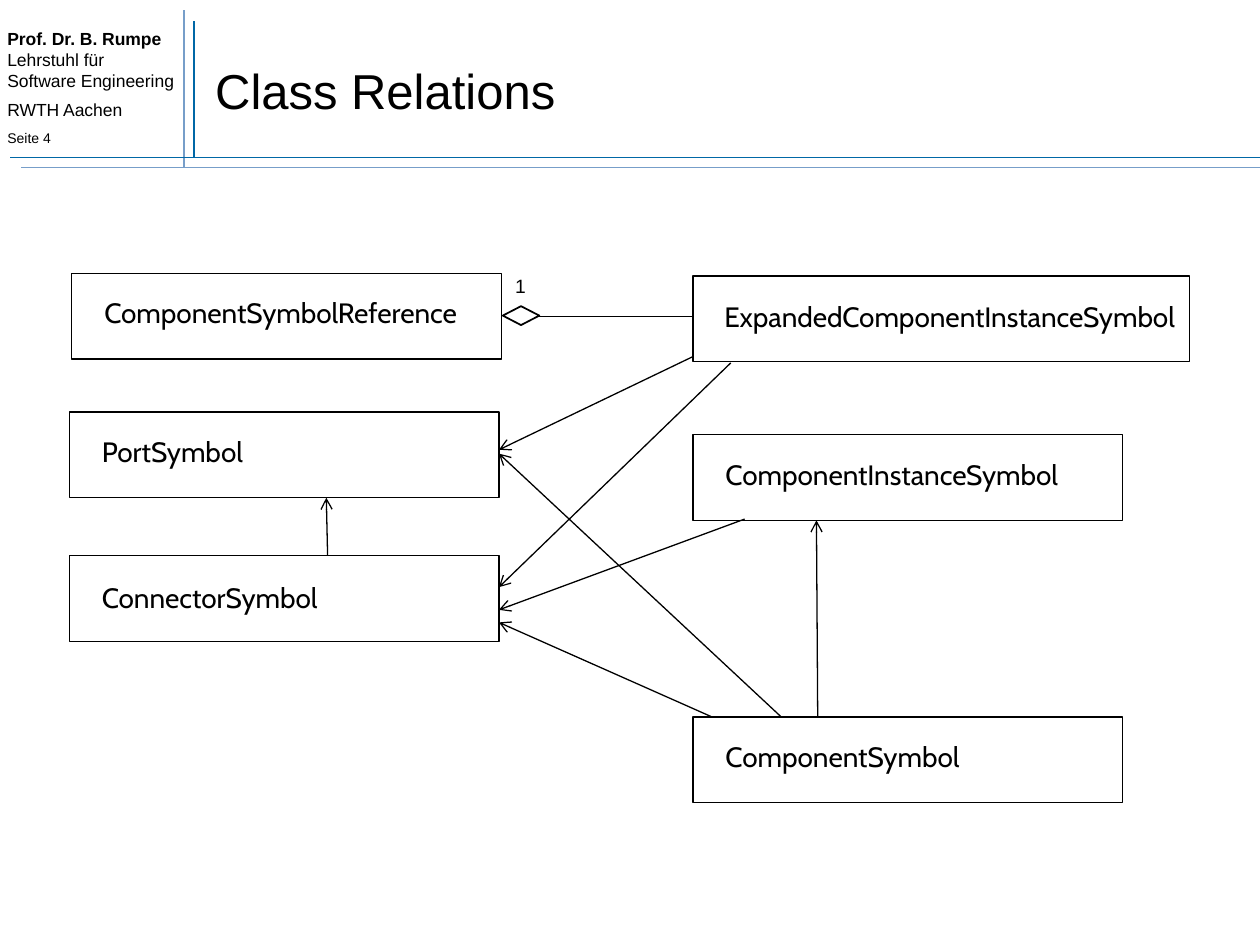
from dataclasses import dataclass

from lxml import etree
from pptx import Presentation
from pptx.dml.color import RGBColor
from pptx.enum.shapes import MSO_CONNECTOR, MSO_SHAPE
from pptx.enum.text import MSO_ANCHOR
from pptx.oxml.ns import qn
from pptx.util import Inches, Pt

LINE = MSO_CONNECTOR.STRAIGHT
RECT = MSO_SHAPE.RECTANGLE
DIAMOND = MSO_SHAPE.DIAMOND
MIDDLE = MSO_ANCHOR.MIDDLE


@dataclass(frozen=True)
class Theme:
    black: RGBColor = RGBColor(0, 0, 0)
    white: RGBColor = RGBColor(255, 255, 255)
    dark: RGBColor = RGBColor(0x00, 0x67, 0xA6)
    light: RGBColor = RGBColor(0x77, 0x9E, 0xC9)
    sans: str = "Arial"
    label: str = "Cabin"
    title: int = 28
    name: int = 16
    count: int = 11
    head: int = 10
    page: int = 8


theme = Theme()
deck = Presentation()
deck.slide_width, deck.slide_height = Inches(10), Inches(7.5)
slide = deck.slides.add_slide(deck.slide_layouts[6])
shapes = slide.shapes


def add_text(place, lines, size, font=theme.sans):
    """Add a text box with one paragraph per line and return its frame."""
    frame = shapes.add_textbox(*map(Inches, place)).text_frame
    frame.word_wrap = True
    frame.text = "\n".join(lines)
    for para in frame.paragraphs:
        for run in para.runs:
            run.font.size = Pt(size)
            run.font.name = font
            run.font.color.rgb = theme.black
    return frame


def add_line(ends, color=theme.black, width=0.75, arrow=False):
    """Draw a line; an arrow points at its first end."""
    line = shapes.add_connector(LINE, *map(Inches, ends))
    line.line.color.rgb = color
    line.line.width = Pt(width)
    if arrow:
        stroke = line.line._get_or_add_ln()
        etree.SubElement(stroke, qn("a:headEnd"), type="arrow")
    etree.SubElement(line._element.spPr, qn("a:effectLst"))


# Page header
head = add_text(
    (-0.04, 0.17, 1.53, 1.06),
    ["Prof. Dr. B. Rumpe\vLehrstuhl für Software Engineering", "RWTH Aachen", "Seite 4"],
    theme.head,
)
for para in head.paragraphs:
    para.space_before = Pt(5)
head.paragraphs[0].runs[0].font.bold = True
head.paragraphs[2].runs[0].font.size = Pt(theme.page)

for ends, color in [
    ((1.54, 1.25, 1.54, 0.17), theme.dark),
    ((1.46, 1.33, 1.46, 0.08), theme.light),
    ((0.08, 1.25, 10, 1.25), theme.dark),
    ((0.17, 1.33, 10, 1.33), theme.light),
]:
    add_line(ends, color, 1)

title = add_text((1.61, 0.25, 8.27, 0.92), ["Class Relations"], theme.title)
title.vertical_anchor = MIDDLE

# Classes: name, box left, top and width, label offset
for name, left, top, width, dx, dy in [
    ("ExpandedComponentInstanceSymbol", 5.5, 2.19, 3.94, 0.15, 0.14),
    ("ComponentSymbolReference", 0.57, 2.17, 3.41, 0.16, 0.13),
    ("ComponentInstanceSymbol", 5.5, 3.45, 3.41, 0.16, 0.13),
    ("ConnectorSymbol", 0.55, 4.41, 3.41, 0.16, 0.15),
    ("PortSymbol", 0.55, 3.27, 3.41, 0.16, 0.13),
    ("ComponentSymbol", 5.5, 5.69, 3.41, 0.16, 0.13),
]:
    box = shapes.add_shape(RECT, *map(Inches, (left, top, width, 0.68)))
    box.shadow.inherit = False
    box.fill.background()
    box.line.color.rgb = theme.black
    box.line.width = Pt(0.75)
    span = 3.87 if width > 3.5 else 3.03
    add_text((left + dx, top + dy, span, 0.37), [name], theme.name, theme.label)

# Aggregation
gem = shapes.add_shape(DIAMOND, *map(Inches, (3.99, 2.43, 0.29, 0.15)))
gem.shadow.inherit = False
gem.fill.solid()
gem.fill.fore_color.rgb = theme.white
gem.line.color.rgb = theme.black
gem.line.width = Pt(1)
add_line((4.28, 2.51, 5.5, 2.51))
add_text((3.99, 2.13, 0.5, 0.29), ["1"], theme.count)

# Associations, target end first
for ends in [
    (3.96, 3.57, 5.5, 2.83),
    (3.96, 4.66, 5.8, 2.88),
    (6.48, 4.13, 6.49, 5.69),
    (3.96, 4.94, 5.65, 5.69),
    (3.96, 3.6, 6.2, 5.69),
    (2.59, 3.95, 2.6, 4.41),
    (3.96, 4.84, 5.91, 4.12),
]:
    add_line(ends, arrow=True)

deck.save("out.pptx")
